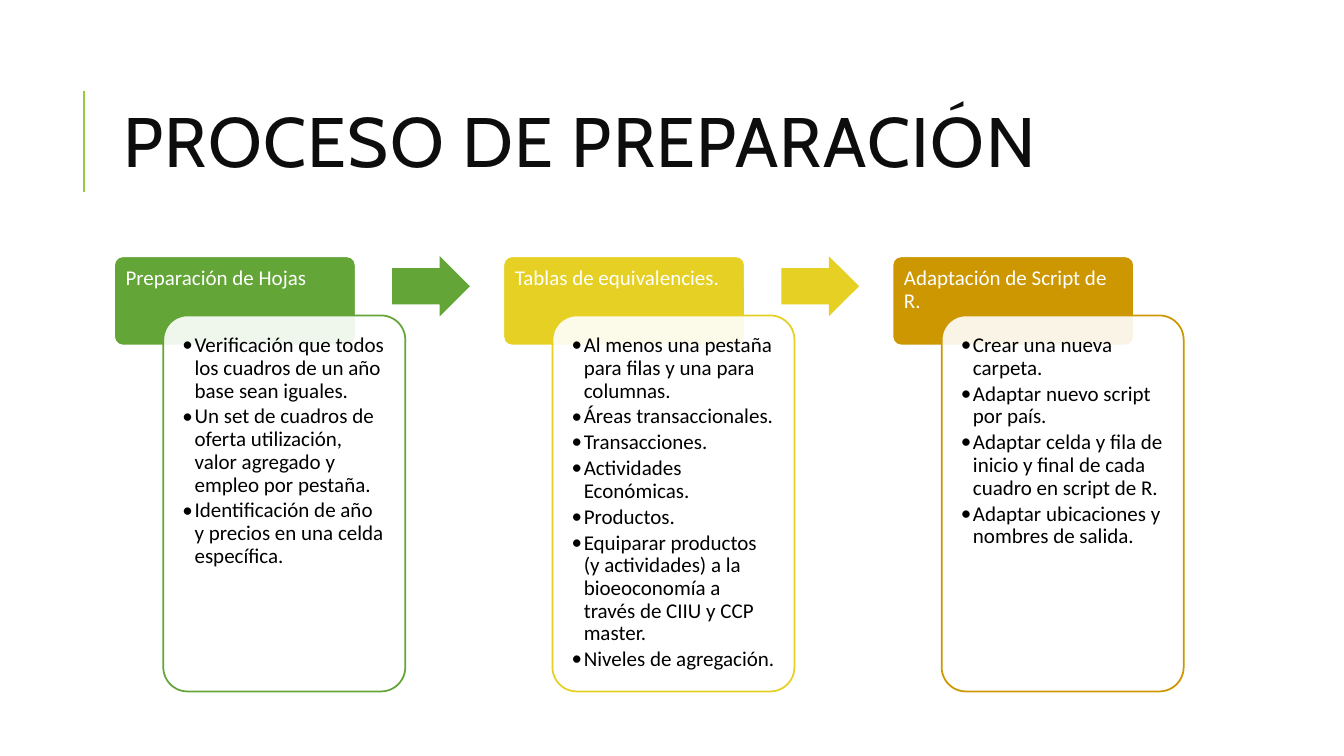
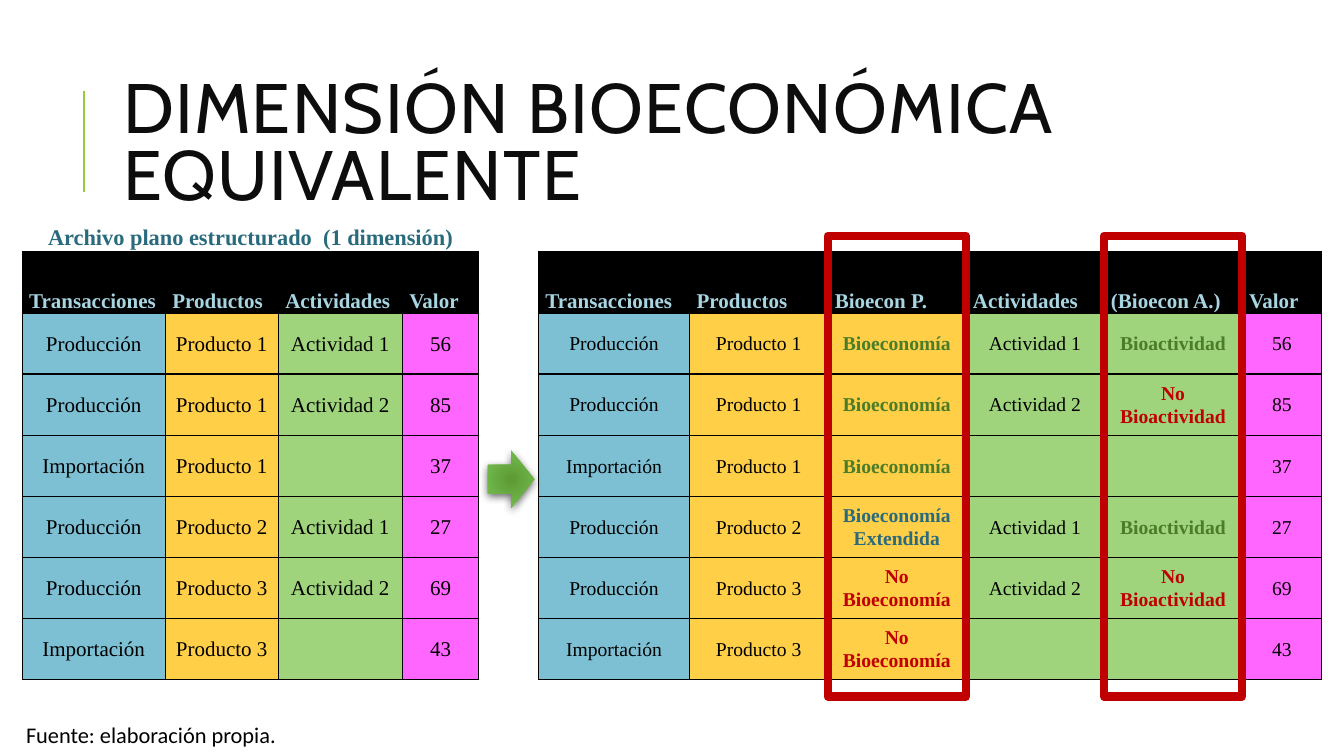
from lxml.etree import SubElement
from pptx import Presentation
from pptx.dml.color import RGBColor
from pptx.enum.shapes import MSO_CONNECTOR, MSO_SHAPE
from pptx.enum.text import MSO_ANCHOR, MSO_AUTO_SIZE, PP_ALIGN
from pptx.oxml.ns import qn
from pptx.util import Inches, Pt

BLACK = RGBColor(0x00, 0x00, 0x00)
WHITE = RGBColor(0xFF, 0xFF, 0xFF)
INK = RGBColor(0x0D, 0x0D, 0x0D)
LIME = RGBColor(0x99, 0xCB, 0x38)
GREEN = RGBColor(0x63, 0xA5, 0x37)
YELLOW = RGBColor(0xE6, 0xD0, 0x24)
OCHRE = RGBColor(0xCC, 0x97, 0x00)
TEAL = RGBColor(0x29, 0x6A, 0x7D)
MOSS = RGBColor(0x4A, 0x7C, 0x29)
RED = RGBColor(0xC0, 0x00, 0x00)
PALE = RGBColor(0xA8, 0xD5, 0xE2)
SKY = RGBColor(0x7D, 0xC0, 0xD4)
GOLD = RGBColor(0xFF, 0xCF, 0x47)
LEAF = RGBColor(0x9F, 0xD4, 0x7D)
PINK = RGBColor(0xFF, 0x66, 0xFF)
DARK = RGBColor(0x5C, 0x9A, 0x33)
LIGHT = RGBColor(0x79, 0xC3, 0x56)
SERIF = "Times New Roman"

STEPS = [
    ("Preparación de Hojas", GREEN, [
        "Verificación que todos los cuadros de un año base sean iguales.",
        "Un set de cuadros de oferta utilización, valor agregado y empleo por pestaña.",
        "Identificación de año y precios en una celda específica.",
    ]),
    ("Tablas de equivalencies.", YELLOW, [
        "Al menos una pestaña para filas y una para columnas.",
        "Áreas transaccionales.",
        "Transacciones.",
        "Actividades Económicas.",
        "Productos.",
        "Equiparar productos (y actividades) a la bioeoconomía a través de CIIU y CCP master.",
        "Niveles de agregación.",
    ]),
    ("Adaptación de Script de R.", OCHRE, [
        "Crear una nueva carpeta.",
        "Adaptar nuevo script por país.",
        "Adaptar celda y fila de inicio y final de cada cuadro en script de R.",
        "Adaptar ubicaciones y nombres de salida.",
    ]),
]

# Heading, fill and width of each column of the full table
COLUMNS = [
    ("Transacciones", SKY, 1.5),
    ("Productos", GOLD, 1.37),
    ("Bioecon P.", GOLD, 1.37),
    ("Actividades", LEAF, 1.37),
    ("(Bioecon A.)", LEAF, 1.37),
    ("Valor", PINK, 0.79),
]
ROWS = [
    ("Producción", "Producto 1", "Bioeconomía", "Actividad 1", "Bioactividad", "56"),
    ("Producción", "Producto 1", "Bioeconomía", "Actividad 2", "No Bioactividad", "85"),
    ("Importación", "Producto 1", "Bioeconomía", "", "", "37"),
    ("Producción", "Producto 2", "Bioeconomía Extendida", "Actividad 1", "Bioactividad", "27"),
    ("Producción", "Producto 3", "No Bioeconomía", "Actividad 2", "No Bioactividad", "69"),
    ("Importación", "Producto 3", "No Bioeconomía", "", "", "43"),
]
TAGS = {
    "Bioeconomía": MOSS,
    "Bioactividad": MOSS,
    "Bioeconomía Extendida": TEAL,
    "No Bioeconomía": RED,
    "No Bioactividad": RED,
}
ADDED = (2, 4)
FLAT = [0, 1, 3, 5]
FLAT_WIDTHS = [1.42, 1.12, 1.23, 0.76]
TOP, HIGH = 2.5, 4.24
FLAT_X, FULL_X = 0.22, 5.34


def write(frame, lines, size=15, font="Calibri", color=BLACK, bold=False,
          align=PP_ALIGN.LEFT, anchor=MSO_ANCHOR.TOP, space=1.0, after=0,
          bullet=None, track=0, inset=None):
    """Fill a text frame; bullet is the hanging indent in inches."""
    frame.word_wrap = True
    frame.vertical_anchor = anchor
    if inset is not None:
        frame.margin_left = frame.margin_right = Inches(inset)
        frame.margin_top = frame.margin_bottom = Inches(inset)
    for i, line in enumerate(lines):
        para = frame.add_paragraph() if i else frame.paragraphs[0]
        para.alignment = align
        para.line_spacing = space
        para.space_before, para.space_after = Pt(0), Pt(after)
        if bullet:
            props = para._p.get_or_add_pPr()
            props.set("marL", str(Inches(bullet)))
            props.set("indent", str(-Inches(bullet)))
            SubElement(props, qn("a:buFont"), typeface=font)
            SubElement(props, qn("a:buChar"), char="•")
        run = para.add_run()
        run.text = line
        run.font.size, run.font.name = Pt(size), font
        run.font.bold = bold
        run.font.color.rgb = color
        if track:
            run.font._element.set("spc", str(track * 100))


def label(slide, box, text, **style):
    frame = slide.shapes.add_textbox(*map(Inches, box)).text_frame
    write(frame, [text], **style)


def draw(slide, kind, box, fill=None, line=None, width=1, adjust=()):
    shape = slide.shapes.add_shape(kind, *map(Inches, box))
    shape.shadow.inherit = False
    for i, value in enumerate(adjust):
        shape.adjustments[i] = value
    if fill is None:
        shape.fill.background()
    else:
        shape.fill.solid()
        shape.fill.fore_color.rgb = fill
    if line is None:
        shape.line.fill.background()
    else:
        shape.line.color.rgb = line
        shape.line.width = Pt(width)
    return shape


def start(deck, text):
    """Add a slide with its title and the rule beside it."""
    slide = deck.slides.add_slide(deck.slide_layouts[5])
    rule = slide.shapes.add_connector(
        MSO_CONNECTOR.STRAIGHT, Inches(0.83), Inches(1.9), Inches(0.83), Inches(0.9))
    rule.line.color.rgb = LIME
    rule.line.width = Pt(1.5)
    SubElement(rule._element.spPr, qn("a:effectLst"))
    title = slide.shapes.title
    title.left, title.top = Inches(1.12), Inches(0.64)
    title.width, title.height = Inches(10.63), Inches(1.64)
    title.text_frame.auto_size = MSO_AUTO_SIZE.NONE
    write(title.text_frame, [text], size=50, font="Cabin", color=INK,
          anchor=MSO_ANCHOR.MIDDLE, space=0.8, track=1)
    return slide


def border(cell):
    props = cell._tc.get_or_add_tcPr()
    for side in ("a:lnL", "a:lnR", "a:lnT", "a:lnB"):
        edge = SubElement(props, qn(side), w=str(Pt(1)))
        SubElement(SubElement(edge, qn("a:solidFill")), qn("a:srgbClr"), val=str(BLACK))


def grid(slide, left, picks, widths, size):
    """Draw a table of the picked columns."""
    count = len(ROWS) + 1
    table = slide.shapes.add_table(
        count, len(picks), Inches(left), Inches(TOP),
        Inches(sum(widths)), Inches(HIGH)).table
    table.first_row = table.horz_banding = False
    for row in table.rows:
        row.height = Inches(HIGH / count)
    for c, (pick, width) in enumerate(zip(picks, widths)):
        table.columns[c].width = Inches(width)
        head, tint, _ = COLUMNS[pick]
        for r, text in enumerate([head] + [row[pick] for row in ROWS]):
            cell = table.cell(r, c)
            border(cell)
            cell.fill.solid()
            cell.fill.fore_color.rgb = tint if r else BLACK
            cell.margin_left = cell.margin_right = Inches(0.07)
            cell.margin_top = cell.margin_bottom = 0
            cell.vertical_anchor = MSO_ANCHOR.MIDDLE if r else MSO_ANCHOR.BOTTOM
            if not text:
                continue
            if r:
                look = dict(size=size, color=TAGS.get(text, BLACK),
                            bold=text in TAGS, align=PP_ALIGN.CENTER)
            else:
                look = dict(color=PALE, bold=True)
            write(cell.text_frame, [text], font=SERIF, space=1.07,
                  anchor=cell.vertical_anchor, **look)


def glow(shape):
    """Give a shape a radial gradient and a soft shadow below."""
    shape.fill.gradient()
    for stop, color in zip(shape.fill.gradient_stops, (DARK, LIGHT)):
        stop.color.rgb = color
    props = shape._element.spPr
    grad = props.find(qn("a:gradFill"))
    grad.remove(grad.find(qn("a:lin")))
    ring = SubElement(grad, qn("a:path"), path="circle")
    SubElement(ring, qn("a:fillToRect"), l="50000", t="50000", r="50000", b="50000")
    shade = SubElement(props.find(qn("a:effectLst")), qn("a:outerShdw"),
                       blurRad=str(Pt(6)), dist=str(Pt(2)), dir="5400000")
    tone = SubElement(shade, qn("a:srgbClr"), val=str(BLACK))
    SubElement(tone, qn("a:alpha"), val="60000")


def process(deck):
    slide = start(deck, "PROCESO DE PREPARACIÓN")
    left, top, pitch, wide = 1.13, 2.54, 3.86, 2.4
    for i, (head, color, points) in enumerate(STEPS):
        x = left + i * pitch
        tab = draw(slide, MSO_SHAPE.ROUNDED_RECTANGLE, (x, top, wide, 0.89),
                   color, WHITE, 1.5, [0.1])
        write(tab.text_frame, [head], color=WHITE, space=0.9, inset=0.09)
        card = draw(slide, MSO_SHAPE.ROUNDED_RECTANGLE, (x + 0.49, top + 0.59, wide, 3.73),
                    WHITE, color, 1.25, [0.1])
        tone = card._element.spPr.find(qn("a:solidFill")).find(qn("a:srgbClr"))
        SubElement(tone, qn("a:alpha"), val="90000")
        write(card.text_frame, points, space=0.9, after=2.25, bullet=0.12, inset=0.12)
        if i < len(STEPS) - 1:
            draw(slide, MSO_SHAPE.RIGHT_ARROW, (x + 2.76, top, 0.77, 0.6),
                 color, adjust=[0.6, 0.5])


def tables(deck):
    slide = start(deck, "DIMENSIÓN BIOECONÓMICA EQUIVALENTE")
    grid(slide, FLAT_X, FLAT, FLAT_WIDTHS, 15)
    label(slide, (FLAT_X, 2.15, sum(FLAT_WIDTHS), 0.39),
          "Archivo plano estructurado  (1 dimensión)", size=16, font=SERIF,
          color=TEAL, bold=True, align=PP_ALIGN.CENTER, space=1.07)
    label(slide, (0.16, 7.11, 5.57, 0.37), "Fuente: elaboración propia.", size=16)
    widths = [width for _, _, width in COLUMNS]
    grid(slide, FULL_X, range(len(COLUMNS)), widths, 14)
    glow(draw(slide, MSO_SHAPE.RIGHT_ARROW, (4.84, 4.47, 0.46, 0.57), DARK))
    for c in ADDED:
        x = FULL_X + sum(widths[:c])
        draw(slide, MSO_SHAPE.RECTANGLE, (x, 2.34, widths[c], 4.57), line=RED, width=6)


def main():
    deck = Presentation()
    deck.slide_width, deck.slide_height = Inches(13.33), Inches(7.5)
    process(deck)
    tables(deck)
    deck.save("out.pptx")


if __name__ == "__main__":
    main()
